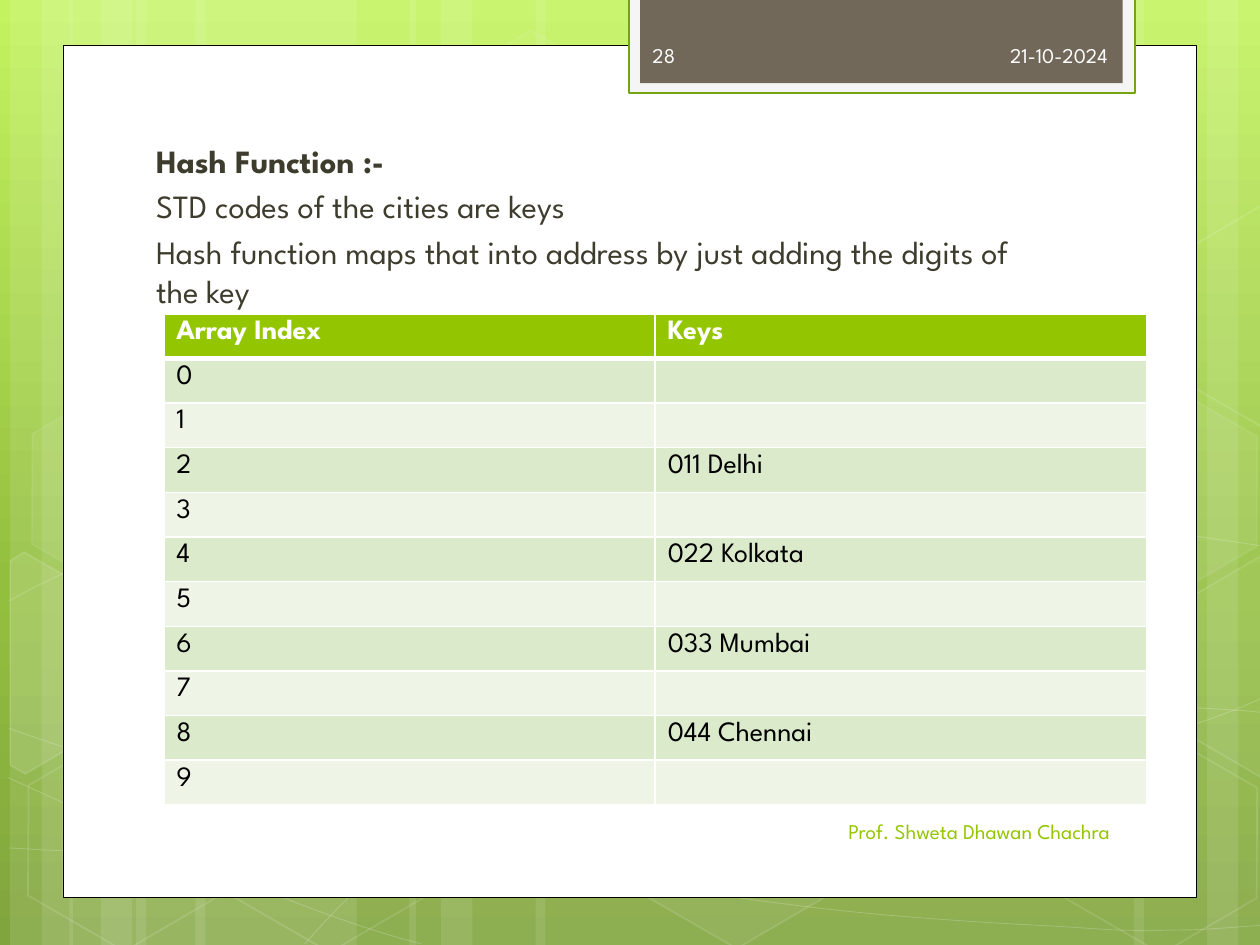
from math import cos, radians, sin

from lxml import etree
from pptx import Presentation
from pptx.dml.color import RGBColor
from pptx.enum.shapes import MSO_SHAPE as SHAPE
from pptx.enum.text import MSO_ANCHOR as ANCHOR, PP_ALIGN as ALIGN
from pptx.oxml import parse_xml
from pptx.oxml.ns import nsdecls, qn
from pptx.util import Inches, Pt

WHITE = RGBColor(0xFF, 0xFF, 0xFF)
BLACK = RGBColor(0, 0, 0)
PALE = RGBColor(0xF5, 0xF5, 0xF5)
OFF_WHITE = RGBColor(0xFE, 0xFE, 0xFE)
TAUPE = RGBColor(0x71, 0x68, 0x5A)
INK = RGBColor(0x3E, 0x3D, 0x2D)
LIME = RGBColor(0x94, 0xC6, 0x00)
DARK_LIME = RGBColor(0x74, 0xA5, 0x10)
BANDS = [RGBColor(0xDC, 0xEA, 0xCC), RGBColor(0xEE, 0xF5, 0xE7)]
FONT = "League Spartan"


def style(sp, fill=None, fill_alpha=100, line=None, width=1, line_alpha=100):
    """Set fill and outline, with opacity in percent."""
    sp.shadow.inherit = False
    for fmt, color, alpha in ((sp.fill, fill, fill_alpha), (sp.line.fill, line, line_alpha)):
        if color is None:
            fmt.background()
            continue
        fmt.solid()
        fmt.fore_color.rgb = color
        if alpha < 100:
            parent = sp._element.spPr if fmt is sp.fill else sp.line._ln
            clr = parent.find(qn("a:solidFill")).find(qn("a:srgbClr"))
            etree.SubElement(clr, qn("a:alpha")).set("val", str(alpha * 1000))
    if line is not None:
        sp.line.width = Pt(width)


def outline(points, close):
    """Build a freeform through points given in inches."""
    pts = [(Inches(x), Inches(y)) for x, y in points]
    fb = s.shapes.build_freeform(*pts[0])
    fb.add_line_segments(pts[1:], close=close)
    return fb.convert_to_shape()


prs = Presentation()
prs.slide_width, prs.slide_height = Inches(10), Inches(7.5)
s = prs.slides.add_slide(prs.slide_layouts[6])

# Background gradient
stops = "".join(f'<a:gs pos="{pos}000"><a:srgbClr val="{c}"/></a:gs>'
                for pos, c in ((0, "C3F35F"), (62, "93BF3F"), (100, "81A53E")))
s._element.cSld.insert(0, parse_xml(
    f'<p:bg {nsdecls("p", "a")}><p:bgPr><a:gradFill rotWithShape="1"><a:gsLst>{stops}</a:gsLst>'
    '<a:lin ang="5400000" scaled="0"/></a:gradFill><a:effectLst/></p:bgPr></p:bg>'))

# Translucent vertical stripes
for x, w in ((1.08, 1.75), (0.08, 0.5), (0.33, 0.83), (1.55, 1.75), (0.55, 0.5), (0.8, 0.83),
             (7.33, 1.75), (9.58, 0.5), (9, 0.83), (4.25, 3.08), (3.25, 0.5), (3.5, 0.83)):
    sp = s.shapes.add_shape(SHAPE.RECTANGLE, Inches(x), 0, Inches(w), prs.slide_height)
    style(sp, WHITE, 10)

# Thin curves: a start point, then Bezier control points in threes
curves = [
    [(0.07, 6.73), (0.61, 6.76), (1.15, 6.79), (1.9, 6.78), (2.65, 6.77), (3.58, 6.75),
     (4.58, 6.65), (5.58, 6.55), (7, 6.36), (7.92, 6.17), (8.83, 5.98), (9.77, 5.68),
     (10.07, 5.51)],
    [(0.07, 4.77), (0.36, 4.61), (0.65, 4.46), (1.21, 4.31), (1.78, 4.16), (2.59, 3.94),
     (3.47, 3.87), (4.36, 3.8), (5.44, 3.79), (6.54, 3.87), (7.64, 3.95), (9.47, 4.26),
     (10.07, 4.34)],
    [(0.06, 6.17), (1.27, 6.72), (2.47, 7.27), (3.34, 7.49)],
    [(0.07, 5.78), (0.38, 5.89), (0.7, 6), (1.28, 6.16), (1.86, 6.31), (2.73, 6.56),
     (3.57, 6.73), (4.4, 6.9), (5.45, 7.08), (6.28, 7.18), (7.11, 7.29), (8, 7.33),
     (8.53, 7.36), (9.05, 7.4), (9.19, 7.38), (9.45, 7.38), (9.71, 7.37), (9.89, 7.35),
     (10.07, 7.34)],
    [(2.42, 7.49), (2.6, 7.29), (2.78, 7.09), (3.02, 6.91), (3.26, 6.73), (3.6, 6.53),
     (3.88, 6.39), (4.16, 6.25), (4.33, 6.19), (4.7, 6.09), (5.06, 5.99), (5.73, 5.85),
     (6.08, 5.78), (6.44, 5.71), (6.49, 5.71), (6.8, 5.69), (7.11, 5.66), (7.6, 5.63),
     (7.94, 5.62), (8.29, 5.61), (8.86, 5.62), (8.86, 5.62), (9.1, 5.62), (9.3, 5.62),
     (9.53, 5.62), (9.71, 5.63), (9.88, 5.64), (9.97, 5.65), (10.06, 5.66), (10.03, 5.65),
     (10.06, 5.66)],
]
for curve in curves:
    sp = outline(curve, False)
    style(sp, line=WHITE, width=0.5, line_alpha=20)
    # Merge every three line segments into one cubic segment
    segments = list(sp._element.iter(qn("a:lnTo")))
    for i in range(0, len(segments), 3):
        cubic = etree.Element(qn("a:cubicBezTo"))
        segments[i].addprevious(cubic)
        for segment in segments[i:i + 3]:
            cubic.append(segment[0])
            segment.getparent().remove(segment)

# Hexagons: left, top, fill opacity, line opacity
for x, y, fill_alpha, line_alpha in (
        (3.34, 0.36, 4, 8), (4.97, 5.89, 6, 12), (0.11, 5.91, 0, 12), (0.14, 3.12, 7, 8),
        (1.74, 5.92, 0, 12), (7.53, 4.53, 10, 12), (8.34, 5.93, 0, 12), (8.34, 3.14, 7, 8)):
    sp = s.shapes.add_shape(SHAPE.HEXAGON, Inches(x), Inches(y), Inches(1.75), Inches(1.52))
    sp.adjustments[0], sp.adjustments[1] = 0.285, 1.155
    sp.rotation = 30
    style(sp, WHITE if fill_alpha else None, fill_alpha, WHITE, 1, line_alpha)

# Hexagons cut by the slide edges, turned like the others about their centres
right_cut = [(9.26, 4.85), (10.01, 4.41), (10.09, 4.46), (10.09, 6.13), (10.02, 6.17), (9.26, 5.73)]
left_cut = [(0.08, 4.45), (0.19, 4.38), (0.96, 4.82), (0.95, 5.7), (0.2, 6.14), (0.08, 6.07)]
upper_cut = [(x, y - 2.78) for x, y in right_cut]
c, d = cos(radians(30)), sin(radians(30))
for points, cx, cy, fill, alpha in ((left_cut, 0.36, 5.35, WHITE, 10),
                                    (right_cut, 9.85, 5.2, WHITE, 4),
                                    (upper_cut, 9.85, 2.41, None, 0)):
    level = [(cx + (x - cx) * c + (y - cy) * d, cy - (x - cx) * d + (y - cy) * c)
             for x, y in points]
    sp = outline(level, True)
    sp.rotation = 30
    style(sp, fill, alpha, WHITE, 1, 12)

# White panel and header tab
for x, y, w, h, fill, line, width in (
        (0.5, 0.36, 9, 6.76, WHITE, BLACK, 0.5),
        (4.99, -0.02, 4.02, 0.76, PALE, DARK_LIME, 1.25),
        (5.08, -0.02, 3.83, 0.68, TAUPE, None, 0)):
    sp = s.shapes.add_shape(SHAPE.RECTANGLE, Inches(x), Inches(y), Inches(w), Inches(h))
    style(sp, fill, line=line, width=width)

# Body text, date, footer and slide number
body = ["Hash Function :-", "STD codes of the cities are keys",
        "Hash function maps that into address by just adding the digits of the key"]
for x, y, w, h, lines, size, color, align, anchor in (
        (1.06, 1.07, 7.41, 5.51, body, 18.5, INK, ALIGN.LEFT, ANCHOR.TOP),
        (6.56, 0.24, 2.33, 0.4, ["21-10-2024"], 12, OFF_WHITE, ALIGN.RIGHT, ANCHOR.MIDDLE),
        (5.08, 6.4, 3.83, 0.4, ["Prof. Shweta Dhawan Chachra"], 12, LIME, ALIGN.RIGHT, ANCHOR.MIDDLE),
        (5.08, 0.24, 1.46, 0.4, ["28"], 12, OFF_WHITE, ALIGN.LEFT, ANCHOR.MIDDLE)):
    tf = s.shapes.add_textbox(Inches(x), Inches(y), Inches(w), Inches(h)).text_frame
    tf.word_wrap = True
    tf.vertical_anchor = anchor
    tf.text = "\n".join(lines)
    for i, p in enumerate(tf.paragraphs):
        p.alignment = align
        if lines is body:
            p._p.get_or_add_pPr().set("marL", str(Inches(0.08)))
        if i:
            p.space_before = Pt(3.7)
        r = p.runs[0]
        r.font.name, r.font.size, r.font.color.rgb = FONT, Pt(size), color
        r.font.bold = lines is body and i == 0

# Hash table
keys = {2: "011 Delhi", 4: "022 Kolkata", 6: "033 Mumbai", 8: "044 Chennai"}
rows = [("Array Index", "Keys")] + [(str(n), keys.get(n, "")) for n in range(10)]
table = s.shapes.add_table(len(rows), 2, Inches(1.3), Inches(2.49), Inches(7.8), Inches(3.9)).table
for i, row in enumerate(rows):
    for j, text in enumerate(row):
        cell = table.cell(i, j)
        cell.text = text
        cell.margin_bottom = Inches(0.03)
        cell.fill.solid()
        cell.fill.fore_color.rgb = BANDS[(i - 1) % 2] if i else LIME
        p = cell.text_frame.paragraphs[0]
        for font in [p.font] + [r.font for r in p.runs]:
            font.name, font.size, font.bold = FONT, Pt(16), i == 0
            font.color.rgb = BLACK if i else WHITE
        # White borders, thicker under the header
        widths = {"L": 1, "R": 1, "T": 3 if i == 1 else 1, "B": 3 if i == 0 else 1}
        for k, (side, width) in enumerate(widths.items()):
            cell._tc.get_or_add_tcPr().insert(k, parse_xml(
                f'<a:ln{side} {nsdecls("a")} w="{Pt(width)}"><a:solidFill>'
                f'<a:srgbClr val="{WHITE}"/></a:solidFill></a:ln{side}>'))

prs.save("out.pptx")
